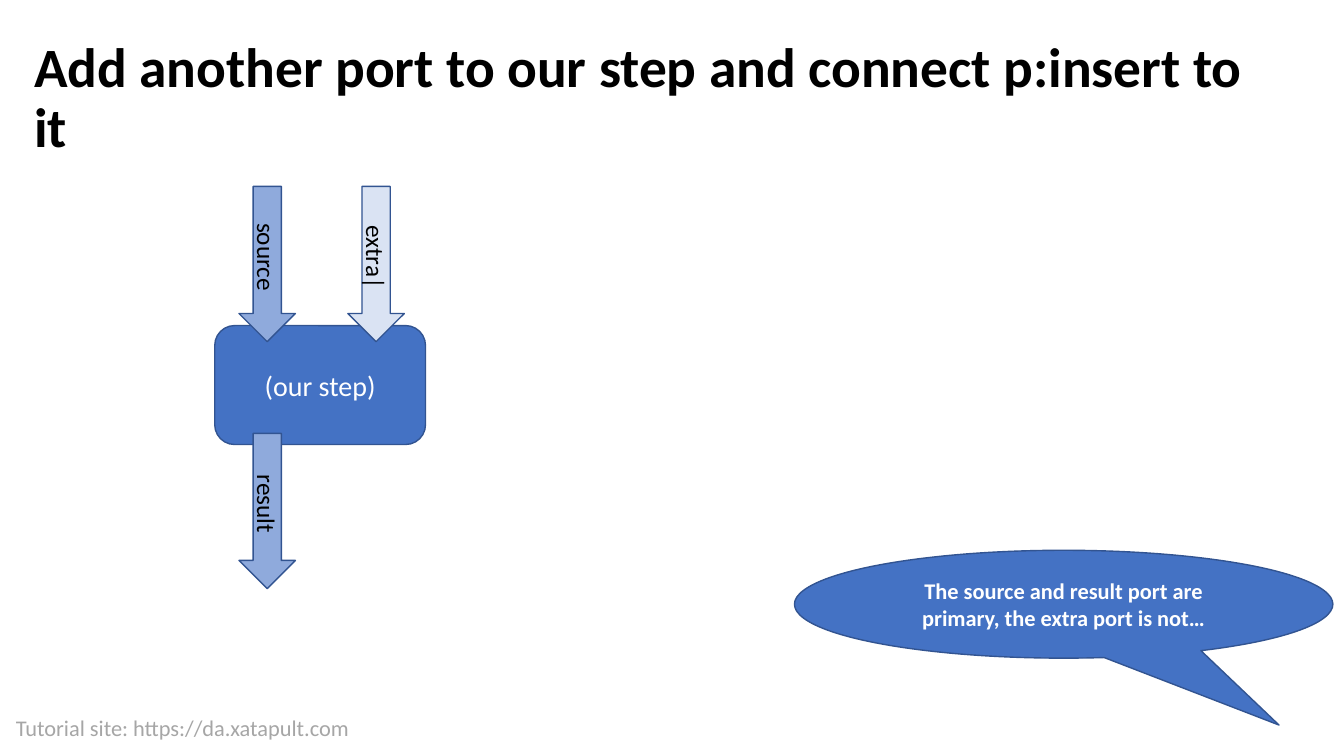
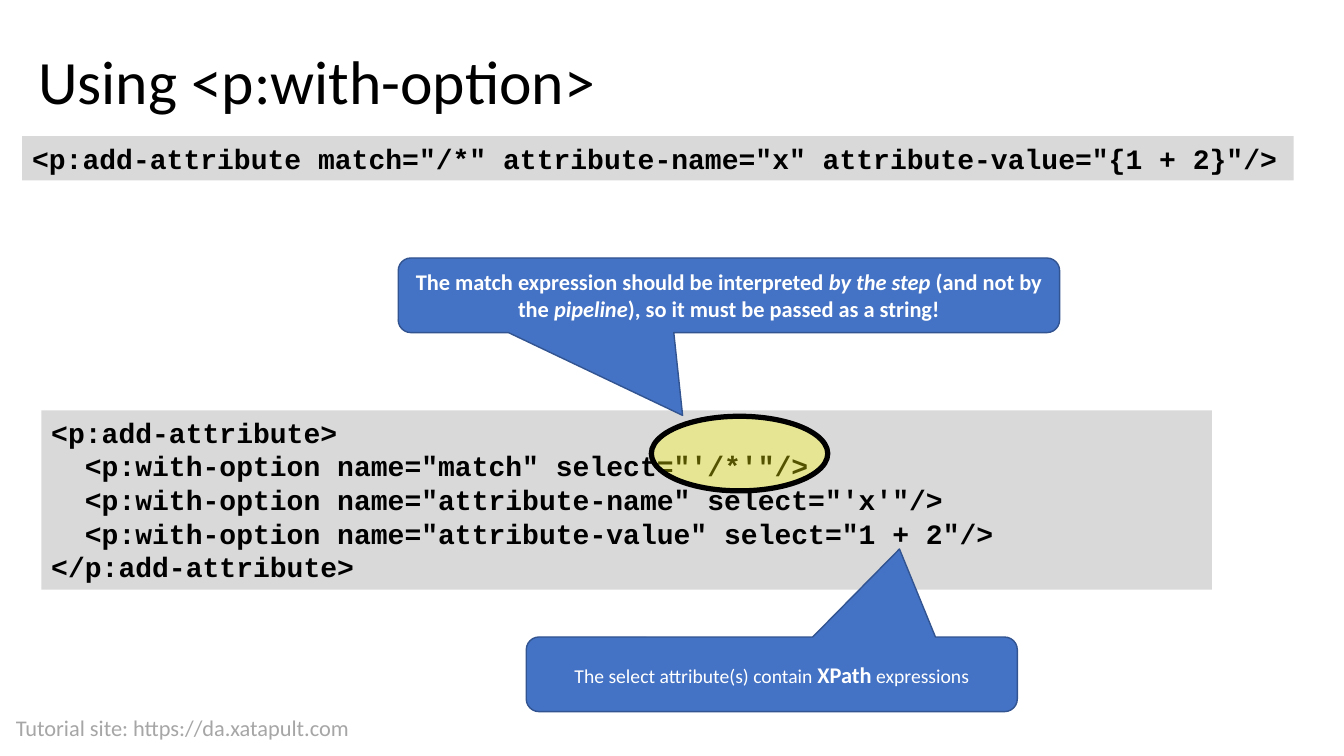
"""Build two tutorial slides about ports and options of a pipeline step."""
import pptx
import pptx.util
import pptx.dml.color
import pptx.enum.shapes
import pptx.enum.text
import pptx.oxml.ns
import lxml.etree

PX = 9144
COLORS = {
    "blue": "4472C4", "edge": "325491", "mid": "8FAADC", "pale": "DAE3F3",
    "gray": "D9D9D9", "foot": "A6A6A6", "mark": "FFFF00",
    "black": "000000", "white": "FFFFFF",
}
KIND = pptx.enum.shapes.MSO_SHAPE
ALIGN = pptx.enum.text.PP_ALIGN
ANCHOR = pptx.enum.text.MSO_ANCHOR


def draw(slide, kind, box, fill, line="edge", width=1, adj=()):
    """Add a preset shape, or a text box when kind is None."""
    place = [n * PX for n in box]
    if kind is None:
        return slide.shapes.add_textbox(*place)
    shape = slide.shapes.add_shape(kind, *place)
    shape.shadow.inherit = False
    shape.fill.solid()
    shape.fill.fore_color.rgb = pptx.dml.color.RGBColor.from_string(COLORS[fill])
    if line:
        shape.line.color.rgb = pptx.dml.color.RGBColor.from_string(COLORS[line])
        shape.line.width = pptx.util.Pt(width)
    else:
        shape.line.fill.background()
    for i, value in enumerate(adj):
        shape.adjustments[i] = value
    return shape


def write(shape, lines, color, font="Calibri", align=ALIGN.CENTER,
          anchor=ANCHOR.MIDDLE, space=None):
    """Fill a shape with lines of (text, size, style) runs."""
    frame = shape.text_frame
    frame.word_wrap = True
    frame.vertical_anchor = anchor
    for i, runs in enumerate(lines):
        para = frame.add_paragraph() if i else frame.paragraphs[0]
        para.alignment = align
        para.line_spacing = space
        for text, size, style in runs:
            run = para.add_run()
            run.text = text
            run.font.name = font
            run.font.size = pptx.util.Pt(size)
            run.font.bold = "b" in style
            run.font.italic = "i" in style
            run.font.color.rgb = pptx.dml.color.RGBColor.from_string(COLORS[color])


deck = pptx.Presentation()
deck.slide_width = 1333 * PX
deck.slide_height = 750 * PX

titles = [
    ("Add another port to our step and connect p:insert to it", 39.6, "b",
     (24, 45, 1263, 107)),
    ("Using <p:with-option>", 44, "", (28, 38, 1150, 91)),
]
slides = []
for text, size, style, box in titles:
    slide = deck.slides.add_slide(deck.slide_layouts[6])
    foot = draw(slide, None, (6, 704, 441, 37), None)
    write(foot, [[("Tutorial site: https://da.xatapult.com", 16, "")]], "foot",
          align=ALIGN.LEFT, anchor=ANCHOR.TOP)
    title = draw(slide, None, box, None)
    write(title, [[(text, size, style)]], "black", align=ALIGN.LEFT, space=0.9)
    slides.append(slide)
ports, options = slides

step = draw(ports, KIND.ROUNDED_RECTANGLE, (213, 323, 209, 118), "blue")
write(step, [[("(our step)", 20, "")]], "white")

for name, left, top, fill in [
    ("source", 188, 234, "mid"),
    ("extra|", 296, 234, "pale"),
    ("result", 188, 479, "mid"),
]:
    arrow = draw(ports, KIND.RIGHT_ARROW, (left, top, 154, 56), fill)
    arrow.rotation = 90
    write(arrow, [[(name, 18, "")]], "black")

note = draw(ports, KIND.OVAL_CALLOUT, (788, 546, 534, 107), "blue",
            adj=(0.4, 1.12))
write(note, [[("The source and result port are primary, the extra port is not…",
               16, "b")]], "white")

for box, code in [
    ((22, 135, 1261, 44), [
        '<p:add-attribute match="/*" attribute-name="x" attribute-value="{1 + 2}"/>',
    ]),
    ((41, 407, 1161, 178), [
        '<p:add-attribute>',
        '  <p:with-option name="match" select="\'/*\'"/>',
        '  <p:with-option name="attribute-name" select="\'x\'"/>',
        '  <p:with-option name="attribute-value" select="1 + 2"/>',
        '</p:add-attribute>',
    ]),
]:
    panel = draw(options, KIND.RECTANGLE, box, "gray", line=None)
    write(panel, [[(row, 20, "b")] for row in code], "black",
          font="Courier New", align=ALIGN.LEFT, anchor=ANCHOR.TOP)

ring = draw(options, KIND.OVAL, (646, 413, 175, 74), "mark", "black", 3.75)
tint = ring.fill._xPr.find(".//" + pptx.oxml.ns.qn("a:srgbClr"))
lxml.etree.SubElement(tint, pptx.oxml.ns.qn("a:alpha"), val="32000")

for box, adj, runs in [
    ((522, 632, 487, 74), (0.26, -1.68, 0.17), [
        ("The select attribute(s) contain ", 14, ""),
        ("XPath", 16, "b"),
        (" expressions", 14, ""),
    ]),
    ((395, 256, 656, 74), (-0.07, 1.61, 0.17), [
        ("The match expression should be interpreted ", 16, "b"),
        ("by the step", 16, "bi"),
        (" (and not by the ", 16, "b"),
        ("pipeline", 16, "bi"),
        ("), so it must be passed as a string!", 16, "b"),
    ]),
]:
    note = draw(options, KIND.ROUNDED_RECTANGULAR_CALLOUT, box, "blue", adj=adj)
    write(note, [runs], "white")

deck.save("out.pptx")
